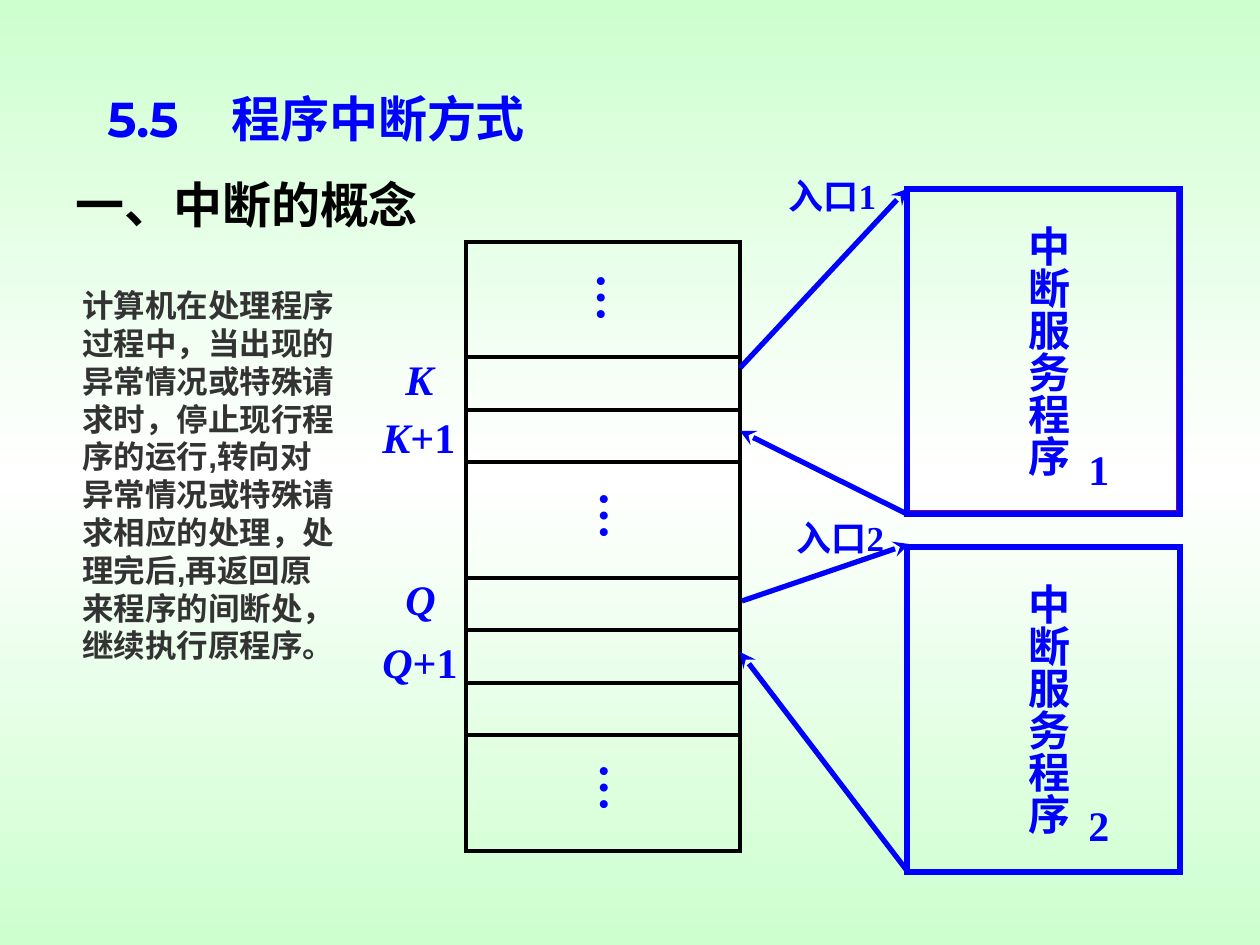
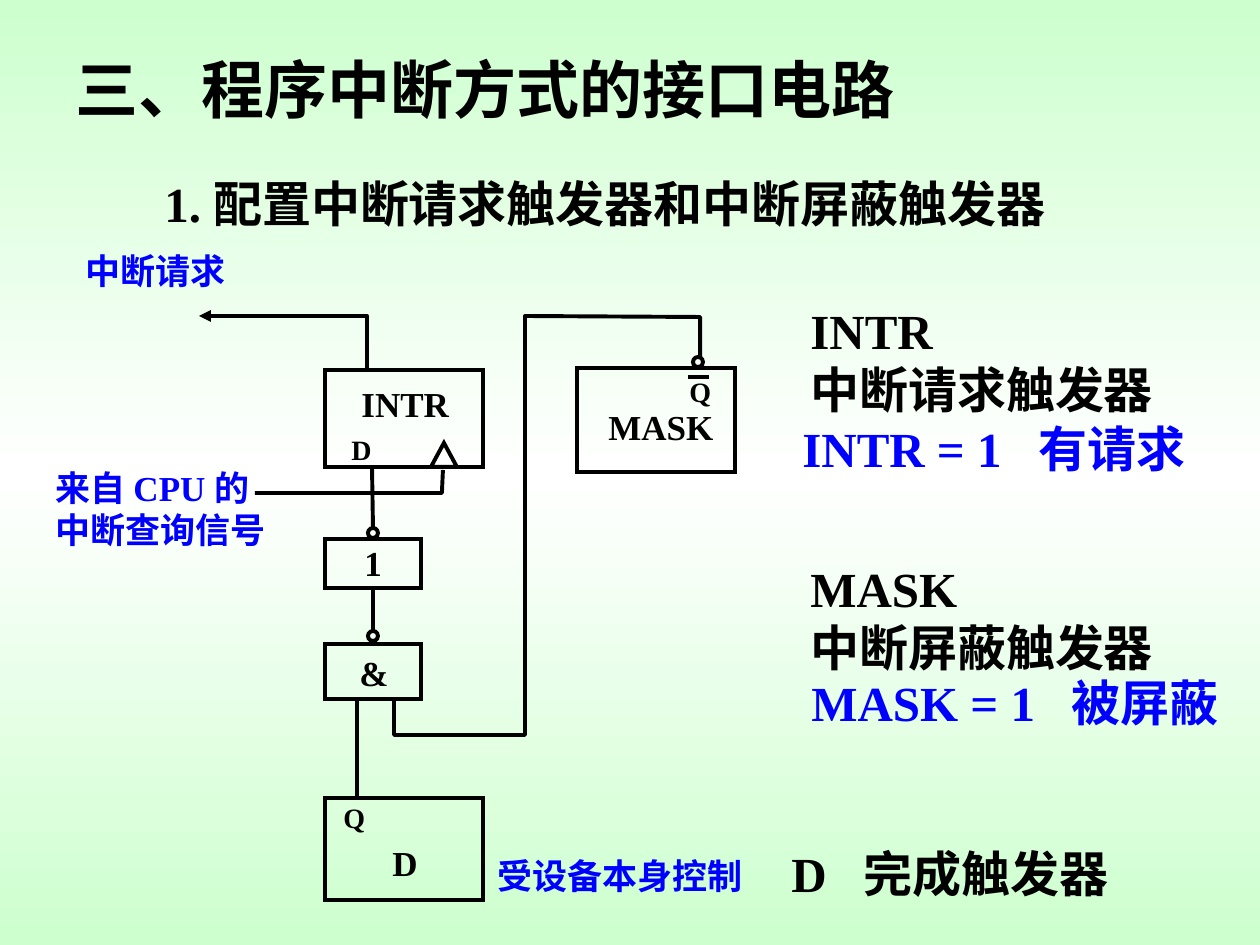
from copy import deepcopy

from lxml import etree
from pptx import Presentation
from pptx import util as u
from pptx.dml.color import RGBColor
from pptx.enum import shapes, text
from pptx.oxml.ns import qn

SCALE = 914400 / 126
BLUE = RGBColor(0x00, 0x00, 0xFF)
BLACK = RGBColor(0x00, 0x00, 0x00)
GRAY = RGBColor(0x33, 0x33, 0x33)
PURPLE = RGBColor(0x80, 0x00, 0x80)
MINT = RGBColor(0xCD, 0xFF, 0xCE)
WHITE = RGBColor(0xFF, 0xFF, 0xFF)
SERIF = "Times New Roman"
RECTANGLE = shapes.MSO_SHAPE.RECTANGLE
TRIANGLE = shapes.MSO_SHAPE.ISOSCELES_TRIANGLE
OVAL = shapes.MSO_SHAPE.OVAL


def px(length):
    return u.Emu(round(length * SCALE))


def write(frame, content, size=20, color=BLACK, font=SERIF, italics=0, tab=None):
    for index, line in enumerate(content.split("\n")):
        paragraph = frame.paragraphs[0] if index == 0 else frame.add_paragraph()
        paragraph.alignment = text.PP_ALIGN.LEFT
        if tab:
            tabs = etree.SubElement(paragraph._p.get_or_add_pPr(), qn("a:tabLst"))
            etree.SubElement(tabs, qn("a:tab"), pos=str(px(tab)), algn="l")
        for part, italic in ((line[:italics], True), (line[italics:], False)):
            if part:
                run = paragraph.add_run()
                run.text = part
                run.font.size = u.Pt(size)
                run.font.name = font
                run.font.bold = True
                run.font.italic = italic
                run.font.color.rgb = color


class Deck:
    def __init__(self):
        self.presentation = Presentation()
        self.presentation.slide_width = px(1260)
        self.presentation.slide_height = px(945)
        self.slide = None

    def new_slide(self):
        self.slide = self.presentation.slides.add_slide(self.presentation.slide_layouts[6])
        fill = self.slide.background.fill
        fill.gradient()
        fill.gradient_angle = 90
        stop_list = next(self.slide.element.iter(qn("a:gsLst")))
        stop_list.insert(1, deepcopy(stop_list[0]))
        for stop, position, color in zip(fill.gradient_stops, (0, 0.5, 1), (MINT, WHITE, MINT)):
            stop.position = position
            stop.color.rgb = color

    def text(self, content, left, top, width, height, vertical=False,
             anchor=text.MSO_ANCHOR.TOP, **style):
        shape = self.slide.shapes.add_textbox(px(left), px(top), px(width), px(height))
        frame = shape.text_frame
        frame.word_wrap = not vertical
        frame.auto_size = text.MSO_AUTO_SIZE.SHAPE_TO_FIT_TEXT
        frame.vertical_anchor = anchor
        if vertical:
            frame._txBody.bodyPr.set("vert", "eaVert")
            frame.margin_left = frame.margin_right = u.Inches(0.05)
            frame.margin_top = frame.margin_bottom = u.Inches(0.1)
        write(frame, content, **style)

    def outline(self, shape, color, width, arrow=None, miter=False):
        shape.line.color.rgb = color
        shape.line.width = u.Pt(width)
        line = shape.element.spPr.find(qn("a:ln"))
        if miter:
            etree.SubElement(line, qn("a:miter"), lim="800000")
        if arrow:
            etree.SubElement(line, qn("a:tailEnd"), type=arrow)

    def shape(self, kind, left, top, width, height, color=BLACK, line=2.25):
        shape = self.slide.shapes.add_shape(kind, px(left), px(top), px(width), px(height))
        shape.shadow.inherit = False
        shape.fill.background()
        self.outline(shape, color, line, miter=True)
        return shape

    def bubble(self, left, top):
        return self.shape(OVAL, left, top, 10, 10)

    def line(self, start, end, color=BLACK, width=2.25, arrow=None, begin=None, finish=None):
        connector = self.slide.shapes.add_connector(
            shapes.MSO_CONNECTOR.STRAIGHT, *map(px, start + end))
        if begin:
            connector.begin_connect(*begin)
        if finish:
            connector.end_connect(*finish)
        etree.SubElement(connector.element.spPr, qn("a:effectLst"))
        self.outline(connector, color, width, arrow)

    def wire(self, start, *points, arrow=None):
        builder = self.slide.shapes.build_freeform(*start, scale=SCALE)
        builder.add_line_segments(points, close=False)
        shape = builder.convert_to_shape()
        shape.shadow.inherit = False
        shape.fill.background()
        self.outline(shape, BLACK, 2.25, arrow)


def build_concept(deck):
    deck.new_slide()
    row_top = 242
    for height in (115, 53, 52, 116, 52, 53, 52, 116):
        deck.shape(RECTANGLE, 466, row_top, 274, height)
        row_top += height
    deck.text("5.5\t程序中断方式", 95, 20, 1071, 134, size=28, color=BLUE,
              font="Montserrat", tab=124, anchor=text.MSO_ANCHOR.BOTTOM)
    deck.text("一、中断的概念", 63, 168, 508, 72, size=28)

    for left, top in ((570, 261), (573, 479), (573, 751)):
        deck.text("…", left, top, 83, 62, vertical=True, size=28, color=BLUE)
    for label, left, top in (("K", 393, 347), ("K+1", 370, 405),
                             ("Q", 393, 567), ("Q+1", 370, 630)):
        deck.text(label, left, top, 120, 63, size=24, color=BLUE, italics=1)

    deck.shape(RECTANGLE, 907, 189, 272, 324, color=PURPLE, line=3)
    for number, top, number_top in (("1", 189, 437), ("2", 547, 793)):
        deck.shape(RECTANGLE, 907, top, 273, 325, color=BLUE, line=3)
        deck.text("中断服务程序", 1004, top + 24, 76, 265, vertical=True, size=24, color=BLUE)
        deck.text(number, 1076, number_top, 65, 63, size=24, color=BLUE)

    for start, end in (((740, 368), (907, 189)), ((907, 514), (740, 431)),
                       ((742, 601), (909, 544)), ((908, 872), (740, 652))):
        deck.line(start, end, color=BLUE, width=3, arrow="stealth")
    for label, left, top in (("入口1", 776, 168), ("入口2", 784, 510)):
        deck.text(label, left, top, 147, 55, color=BLUE)
    deck.text("计算机在处理程序过程中，当出现的异常情况或特殊请求时，停止现行程序的运行,"
              "转向对异常情况或特殊请求相应的处理，处理完后,再返回原来程序的间断处，"
              "继续执行原程序。",
              70, 280, 285, 391, size=18, color=GRAY, font="Arial")


def build_circuit(deck):
    deck.new_slide()
    deck.text("三、程序中断方式的接口电路", 63, 44, 900, 88, size=36)
    deck.text("1. 配置中断请求触发器和中断屏蔽触发器", 152, 167, 980, 72, size=28)

    deck.shape(RECTANGLE, 325, 370, 158, 97)
    deck.shape(RECTANGLE, 577, 368, 158, 104)
    deck.shape(RECTANGLE, 325, 798, 158, 102)
    deck.shape(TRIANGLE, 431, 443, 26, 24)
    inverter = deck.shape(RECTANGLE, 325, 539, 96, 49)
    deck.shape(RECTANGLE, 325, 644, 96, 55)
    inverter_bubble = deck.bubble(368, 528)
    and_bubble = deck.bubble(368, 631)
    deck.bubble(693, 357)

    for label, left, top, width in (("INTR", 349, 376, 130), ("MASK", 596, 399, 150),
                                    ("1", 352, 535, 60), ("&", 347, 645, 70),
                                    ("D", 380, 835, 70)):
        deck.text(label, left, top, width, 55)
    for label, left, top in (("D", 339, 426), ("Q", 677, 368), ("Q", 331, 794)):
        deck.text(label, left, top, 60, 47, size=16)

    deck.line((688, 377), (709, 377))
    deck.line((372, 467), (373, 528), finish=(inverter_bubble, 0))
    deck.line((373, 588), (373, 631), begin=(inverter, 2), finish=(and_bubble, 0))
    deck.line((357, 700), (357, 798))
    deck.wire((255, 493), (442, 493), (443, 470))
    deck.wire((394, 700), (394, 735), (525, 735), (525, 316), (700, 317), (700, 358))
    deck.wire((367, 369), (367, 316), (199, 316), arrow="triangle")

    for name, meaning, top in (("INTR", "中断请求触发器", 294), ("MASK", "中断屏蔽触发器", 552)):
        deck.text(f"{name}\n{meaning}", 798, top, 400, 131, size=28)
    for content, left, top, tab, color in (("INTR = 1\t有请求", 790, 412, 236, BLUE),
                                           ("MASK = 1\t被屏蔽", 799, 666, 260, BLUE),
                                           ("D\t完成触发器", 779, 837, 72, BLACK)):
        deck.text(content, left, top, 460, 72, size=28, color=color, tab=tab)

    deck.text("中断请求", 73, 243, 190, 55, color=BLUE)
    deck.text("来自 CPU 的\n中断查询信号", 43, 460, 270, 97, color=BLUE)
    deck.text("受设备本身控制", 485, 848, 300, 55, color=BLUE)


def main():
    deck = Deck()
    build_concept(deck)
    build_circuit(deck)
    deck.presentation.save("out.pptx")


if __name__ == "__main__":
    main()
